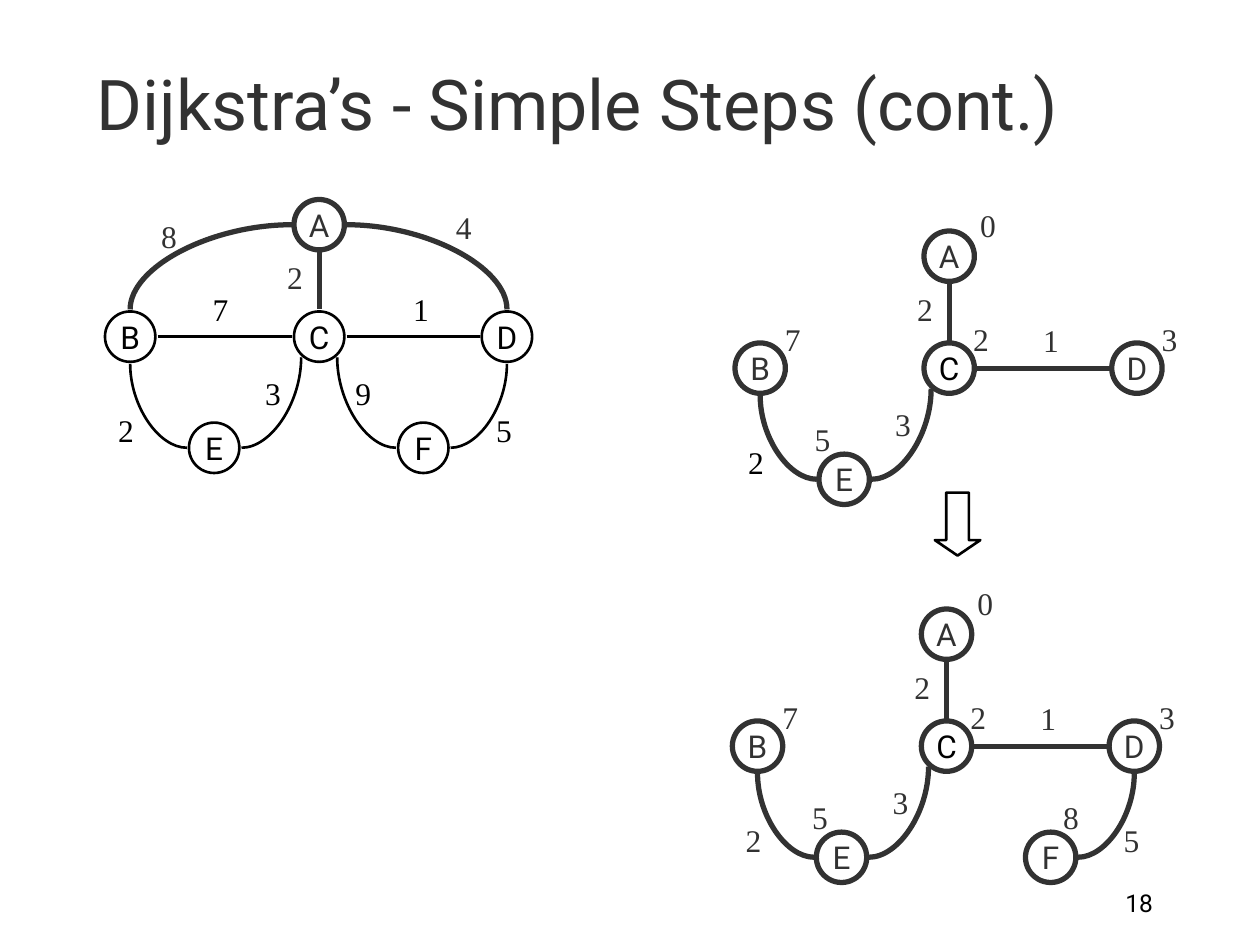
from dataclasses import dataclass

from lxml import etree
from pptx import Presentation
from pptx.dml.color import RGBColor
from pptx.enum import shapes, text
from pptx.oxml import ns
from pptx.util import Pt


@dataclass(frozen=True)
class Theme:
    """Colours, fonts, type sizes and line widths."""
    paper: RGBColor = RGBColor(0xFF, 0xFF, 0xFF)
    ink: RGBColor = RGBColor(0, 0, 0)
    dark: RGBColor = RGBColor(0x32, 0x32, 0x32)
    sans: str = "Roboto"
    serif: str = "Times New Roman"
    title: int = 40
    label: int = 18
    number: int = 14
    thick: float = 3
    thin: float = 1.5


THEME = Theme()
DIAMETER = 28.8
RADIUS = DIAMETER / 2
REACH = RADIUS + 1.2
CORNER = (10.3, 11.8)
LABEL_SIZE = (24, 28.8)
NODES = {"A": (108, 0), "B": (0, 64), "C": (108, 64),
         "D": (215.3, 64), "E": (48, 127.5), "F": (167.5, 127.5)}
WEIGHTS = {"AB": ("8", 24.5, 6.5), "AD": ("4", 193, 1.5), "AC": ("2", 96.5, 30),
           "BC": ("7", 54, 48), "CD": ("1", 168.5, 48), "EB": ("2", 0, 117.5),
           "EC": ("3", 84, 96), "FC": ("9", 135.5, 96), "FD": ("5", 216, 117.5)}
DISTANCE_OFFSETS = {"A": (24.5, -18), "B": (21, -16.5), "C": (20.5, -16.5),
                    "D": (21, -16.5), "E": (-10, -23), "F": (14, -23)}


def write(shape, words, face, size, color, align, anchor):
    """Put one formatted paragraph into a shape."""
    frame = shape.text_frame
    frame.text = words
    frame.vertical_anchor = anchor
    para = frame.paragraphs[0]
    para.alignment = align
    para.font.name, para.font.size = face, Pt(size)
    para.font.color.rgb = color
    return frame


def add_label(page, words, left, top, color):
    """Place a weight or distance figure."""
    box = page.shapes.add_textbox(Pt(left), Pt(top), *map(Pt, LABEL_SIZE))
    frame = write(box, words, THEME.serif, THEME.label, color,
                  text.PP_ALIGN.CENTER, text.MSO_ANCHOR.TOP)
    frame.word_wrap = False


def outline(shape, color, width):
    """Give a shape an unfilled outline without shadow."""
    shape.shadow.inherit = False
    shape.fill.background()
    shape.line.color.rgb = color
    shape.line.width = Pt(width)


def add_node(page, name, left, top, line_color, width, text_color):
    """Draw a lettered circle."""
    node = page.shapes.add_shape(shapes.MSO_SHAPE.OVAL, Pt(left), Pt(top),
                                 Pt(DIAMETER), Pt(DIAMETER))
    outline(node, line_color, width)
    frame = write(node, name, THEME.sans, THEME.label, text_color,
                  text.PP_ALIGN.CENTER, text.MSO_ANCHOR.MIDDLE)
    frame.word_wrap = False


def add_edge(page, edge, left, top, color, width):
    """Join two nodes, with a quarter curve where they share no row or column."""
    (x1, y1), (x2, y2) = [(left + NODES[name][0] + RADIUS, top + NODES[name][1] + RADIUS)
                          for name in edge]
    across = (x2 > x1) - (x2 < x1)
    down = (y2 > y1) - (y2 < y1)
    curved = bool(across and down)
    if curved:
        x1 += across * REACH
        dx, dy = CORNER if edge[1] == "C" else (0, REACH)
        x2, y2 = x2 - across * dx, y2 - down * dy
    else:
        x1, y1 = x1 + across * REACH, y1 + down * REACH
        x2, y2 = x2 - across * REACH, y2 - down * REACH
    kind = shapes.MSO_CONNECTOR.CURVE if curved else shapes.MSO_CONNECTOR.STRAIGHT
    line = page.shapes.add_connector(kind, Pt(x1), Pt(y1), Pt(x2), Pt(y2))
    line.line.color.rgb = color
    line.line.width = Pt(width)
    properties = line._element.spPr
    if curved:
        properties.find(ns.qn("a:prstGeom")).set("prst", "curvedConnector2")
    etree.SubElement(properties, ns.qn("a:effectLst"))


def add_graph(page, left, top, names, edges, distances=None, thin=(), black=()):
    """Draw a weighted graph from its top-left corner."""
    def pen(part):
        return (THEME.ink, THEME.thin) if part in thin else (THEME.dark, THEME.thick)

    def tint(part):
        return THEME.ink if part in thin or part in black else THEME.dark

    for edge in edges:
        add_edge(page, edge, left, top, *pen(edge))
        weight, x, y = WEIGHTS[edge]
        add_label(page, weight, left + x, top + y, tint(edge))
    for name in names:
        x, y = left + NODES[name][0], top + NODES[name][1]
        add_node(page, name, x, y, *pen(name), tint(name))
        if distances:
            dx, dy = DISTANCE_OFFSETS[name]
            add_label(page, distances[name], x + dx, y + dy, THEME.dark)


def add_title(page, left, top, width, height):
    """Fill and place the title placeholder."""
    title = page.shapes.title
    title.left, title.top, title.width, title.height = map(Pt, (left, top, width, height))
    frame = write(title, "Dijkstra’s - Simple Steps (cont.)", THEME.sans, THEME.title,
                  THEME.dark, text.PP_ALIGN.LEFT, text.MSO_ANCHOR.BOTTOM)
    frame.auto_size = text.MSO_AUTO_SIZE.NONE


def add_step_arrow(page, left, top, width, height):
    """Draw the block arrow between the two steps."""
    arrow = page.shapes.add_shape(shapes.MSO_SHAPE.DOWN_ARROW,
                                  *map(Pt, (left, top, width, height)))
    arrow.adjustments[1] = 0.34
    outline(arrow, THEME.ink, THEME.thin)


def add_page_number(page, left, top, width, height):
    """Place the page number."""
    box = page.shapes.add_textbox(*map(Pt, (left, top, width, height)))
    frame = write(box, "18", THEME.sans, THEME.number, THEME.ink,
                  text.PP_ALIGN.RIGHT, text.MSO_ANCHOR.BOTTOM)
    frame.word_wrap = True


def main():
    """Build and save the deck."""
    deck = Presentation()
    deck.slide_width, deck.slide_height = Pt(720), Pt(540)
    page = deck.slides.add_slide(deck.slide_layouts[5])
    page.background.fill.solid()
    page.background.fill.fore_color.rgb = THEME.paper
    add_title(page, 48, 18, 630, 68.4)
    add_graph(page, 60, 114, NODES, WEIGHTS,
              thin=("B", "C", "D", "E", "F", "BC", "CD", "EB", "EC", "FC", "FD"))
    distances = {"A": "0", "B": "7", "C": "2", "D": "3", "E": "5", "F": "8"}
    tree = ["AC", "CD", "EB", "EC"]
    add_graph(page, 420, 132, "ABCDE", tree, distances, black=("C", "EB"))
    add_step_arrow(page, 534.2, 281.5, 26, 36)
    add_graph(page, 418.5, 348, "ABCDEF", tree + ["FD"], distances, black=("C",))
    add_page_number(page, 516, 492, 150, 36)
    deck.save("out.pptx")


if __name__ == "__main__":
    main()
